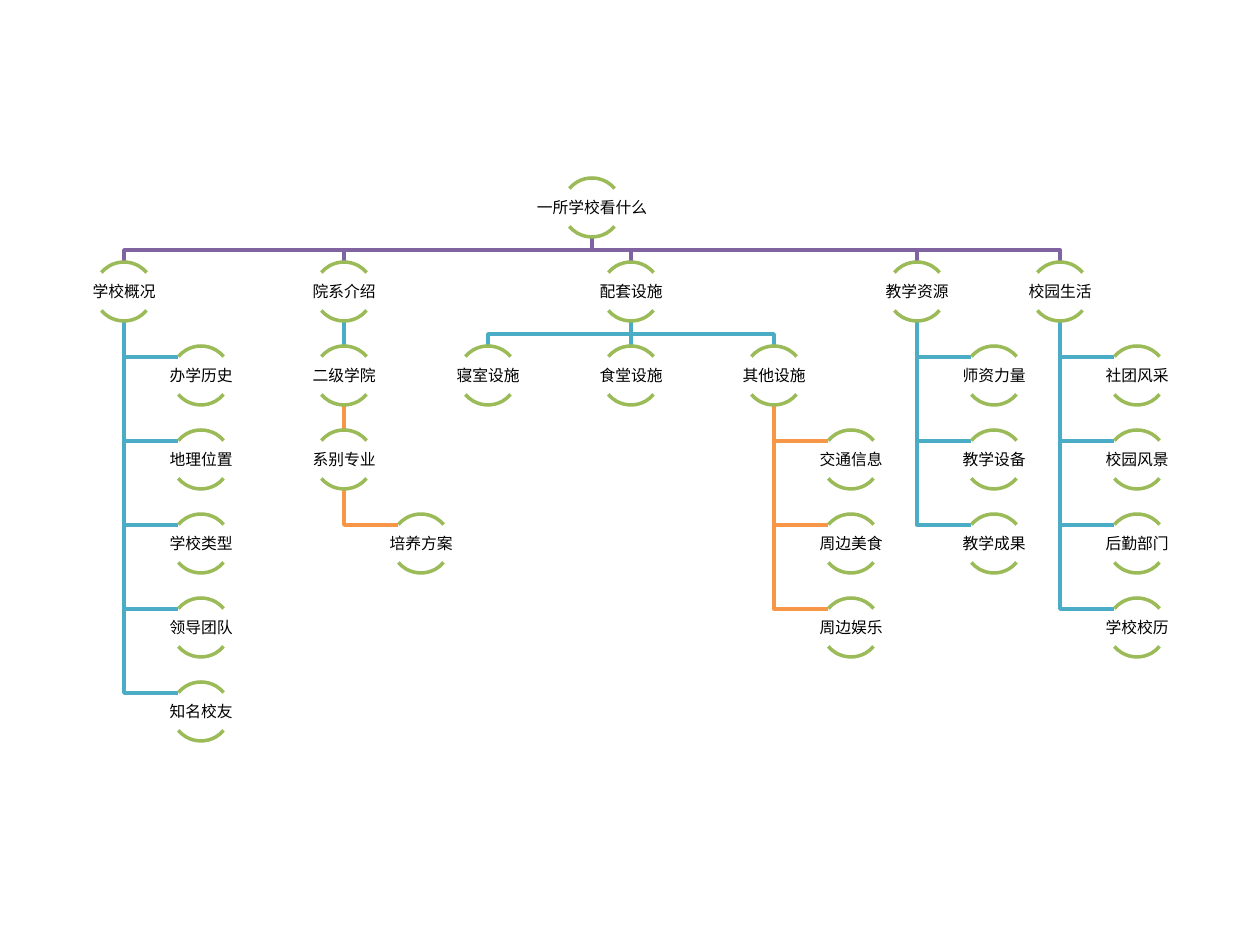
import dataclasses

import pptx
import pptx.dml.color
import pptx.enum.shapes
import pptx.enum.text
import pptx.oxml.ns
import pptx.util
from lxml import etree

PX = 914400 / 126  # EMU in one px
PURPLE = pptx.dml.color.RGBColor(0x80, 0x64, 0xA2)
TEAL = pptx.dml.color.RGBColor(0x4B, 0xAC, 0xC6)
ORANGE = pptx.dml.color.RGBColor(0xF7, 0x96, 0x46)
GREEN = pptx.dml.color.RGBColor(0x9B, 0xBB, 0x59)
BLACK = pptx.dml.color.RGBColor(0x00, 0x00, 0x00)
LEVEL_COLORS = (PURPLE, TEAL, ORANGE, ORANGE)

# Layout of the tree, in px
FIRST_TOP = 178
ROW_PITCH = 84
CIRCLE = 59
LABEL_WIDTH, LABEL_HEIGHT = 118, 38
LABEL_DROP = 11
HANG_INDENT = 77
HANG_REACH = 54
BAR_RISE = 12


@dataclasses.dataclass
class Topic:
    label: str
    x: int
    below: tuple = ()
    hanging: tuple = ()


SCHOOL = Topic("一所学校看什么", 592, below=(
    Topic("学校概况", 124, hanging=("办学历史", "地理位置", "学校类型", "领导团队", "知名校友")),
    Topic("院系介绍", 344, below=(
        Topic("二级学院", 344, below=(
            Topic("系别专业", 344, hanging=("培养方案",)),
        )),
    )),
    Topic("配套设施", 631, below=(
        Topic("寝室设施", 488),
        Topic("食堂设施", 631),
        Topic("其他设施", 774, hanging=("交通信息", "周边美食", "周边娱乐")),
    )),
    Topic("教学资源", 917, hanging=("师资力量", "教学设备", "教学成果")),
    Topic("校园生活", 1060, hanging=("社团风采", "校园风景", "后勤部门", "学校校历")),
))


def emu(px):
    return pptx.util.Emu(round(px * PX))


def row_top(row):
    return FIRST_TOP + row * ROW_PITCH


class TreeSlide:
    font = "Calibri"
    font_size = pptx.util.Pt(9)
    line_width = pptx.util.Pt(2)

    def __init__(self, slide):
        self.shapes = slide.shapes.add_group_shape().shapes

    def style_line(self, line, color):
        line.color.rgb = color
        line.width = self.line_width

    def link(self, points, color):
        """Draw a straight line for two points, a bent one for more."""
        if len(points) == 2:
            (x1, y1), (x2, y2) = points
            drop = self.shapes.add_connector(
                pptx.enum.shapes.MSO_CONNECTOR.STRAIGHT,
                emu(x1), emu(y1), emu(x2), emu(y2))
            etree.SubElement(drop._element.spPr, pptx.oxml.ns.qn("a:effectLst"))
            self.style_line(drop.line, color)
            return
        builder = self.shapes.build_freeform(*points[0], scale=PX)
        builder.add_line_segments(points[1:], close=False)
        elbow = builder.convert_to_shape()
        elbow.shadow.inherit = False
        elbow.fill.background()
        self.style_line(elbow.line, color)

    def arc(self, x, top, start, end):
        arc = self.shapes.add_shape(
            pptx.enum.shapes.MSO_SHAPE.ARC,
            emu(x - CIRCLE / 2), emu(top), emu(CIRCLE), emu(CIRCLE))
        # Angles are in 60000ths of a degree, adjustments in units of 100000
        arc.adjustments[0] = start * 0.6
        arc.adjustments[1] = end * 0.6
        arc.shadow.inherit = False
        arc.fill.background()
        self.style_line(arc.line, GREEN)

    def node(self, label, x, row):
        top = row_top(row)
        self.arc(x, top, 220, 320)
        self.arc(x, top, 40, 140)
        caption = self.shapes.add_textbox(
            emu(x - LABEL_WIDTH / 2), emu(top + LABEL_DROP),
            emu(LABEL_WIDTH), emu(LABEL_HEIGHT))
        frame = caption.text_frame
        frame.word_wrap = True
        frame.vertical_anchor = pptx.enum.text.MSO_ANCHOR.MIDDLE
        frame.margin_left = frame.margin_right = emu(1)
        frame.margin_top = frame.margin_bottom = emu(1)
        paragraph = frame.paragraphs[0]
        paragraph.alignment = pptx.enum.text.PP_ALIGN.CENTER
        paragraph.line_spacing = 0.9
        run = paragraph.add_run()
        run.text = label
        run.font.name = self.font
        run.font.size = self.font_size
        run.font.color.rgb = BLACK

    def links(self, topic, row=0):
        color = LEVEL_COLORS[row]
        start = (topic.x, row_top(row) + CIRCLE)
        for child_row in reversed(range(row + 1, row + 1 + len(topic.hanging))):
            y = row_top(child_row) + LABEL_DROP
            self.link([start, (topic.x, y), (topic.x + HANG_REACH, y)], color)
        for child in reversed(topic.below):
            self.links(child, row + 1)
            end = (child.x, row_top(row + 1))
            bar = end[1] - BAR_RISE
            bends = [] if child.x == topic.x else [(topic.x, bar), (child.x, bar)]
            self.link([start, *bends, end], color)

    def nodes(self, topic, row=0):
        self.node(topic.label, topic.x, row)
        for child_row, label in enumerate(topic.hanging, row + 1):
            self.node(label, topic.x + HANG_INDENT, child_row)
        for child in topic.below:
            self.nodes(child, row + 1)


def main():
    deck = pptx.Presentation()
    deck.slide_width, deck.slide_height = emu(1260), emu(945)
    tree = TreeSlide(deck.slides.add_slide(deck.slide_layouts[6]))
    # Links lie behind the nodes
    tree.links(SCHOOL)
    tree.nodes(SCHOOL)
    deck.save("out.pptx")


if __name__ == "__main__":
    main()
